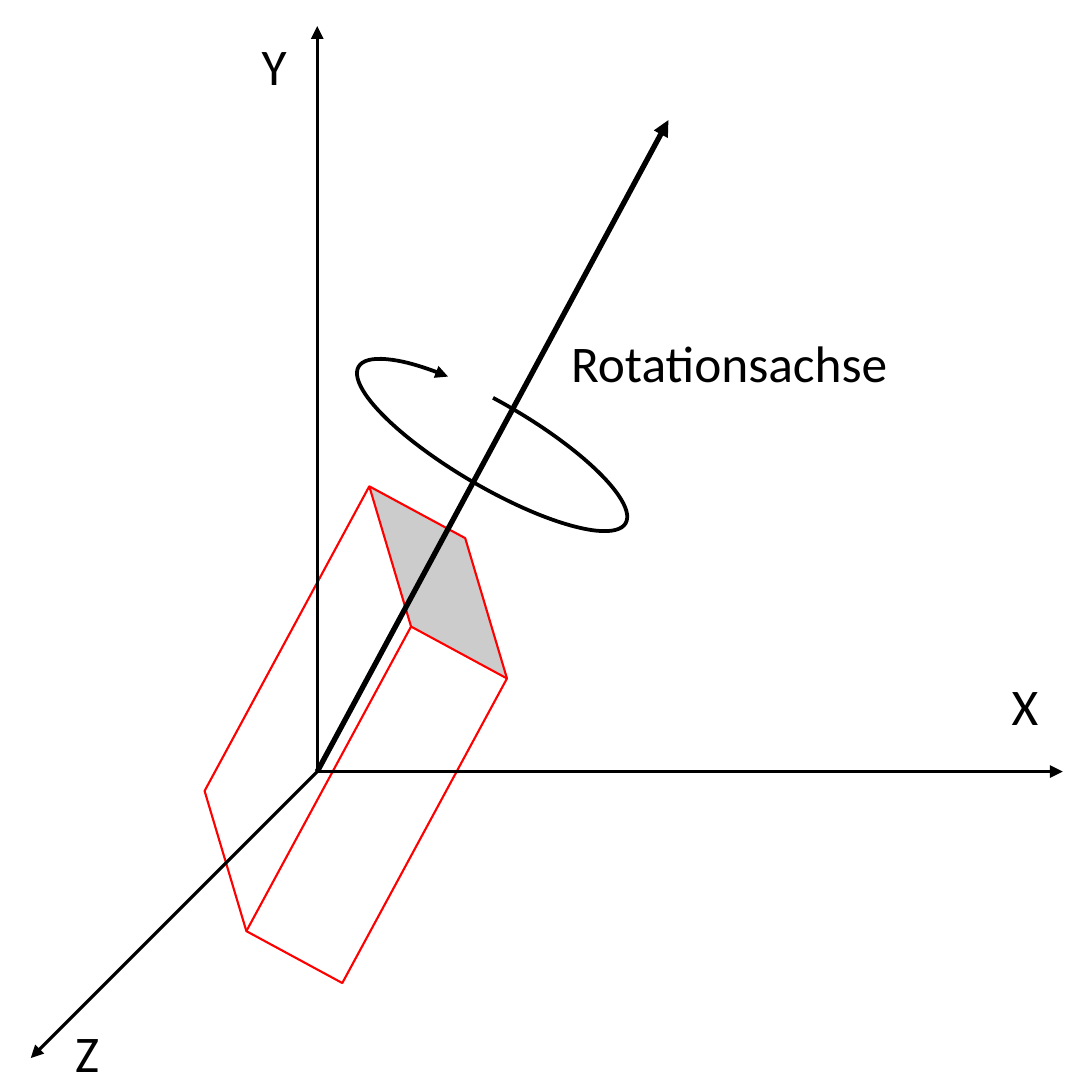
"""Draws a box turning around a rotation axis in a three-axis coordinate system."""
from lxml import etree
from pptx import Presentation
from pptx import util as u
from pptx.dml.color import RGBColor
from pptx.enum import shapes, text
from pptx.oxml import ns

BLACK, RED, WHITE = "000000", "FF0000", "FFFFFF"
SIDE = 7.09
ORIGIN = (2.06, 5.01)
AXIS_LENGTH = 4.84
Z_REACH = 1.86


def color(value):
    return RGBColor.from_string(value)


class Diagram:
    font, size, label_height = "Calibri", 24, 0.5

    def __init__(self, slide):
        self.slide = slide

    def outline(self, line, value, width, arrow=False):
        line.color.rgb = color(value)
        line.width = u.Pt(width)
        if arrow:
            element = line.color._xFill.getparent()
            etree.SubElement(element, ns.qn("a:tailEnd"), type="triangle")

    def shape(self, kind, box, rotation, adjustments, line, fill=None):
        shape = self.slide.shapes.add_shape(kind, *map(u.Inches, box))
        shape.shadow.inherit = False
        shape.rotation = rotation
        for index, value in enumerate(adjustments):
            shape.adjustments[index] = value
        if fill:
            shape.fill.solid()
            shape.fill.fore_color.rgb = color(fill)
        else:
            shape.fill.background()
        self.outline(shape.line, *line)

    def arrow(self, end, width=1.5):
        connector = self.slide.shapes.add_connector(
            shapes.MSO_CONNECTOR.STRAIGHT, *map(u.Inches, (*ORIGIN, *end)))
        self.outline(connector.line, BLACK, width, True)
        etree.SubElement(connector._element.spPr, ns.qn("a:effectLst"))

    def label(self, wording, left, top, width):
        box = self.slide.shapes.add_textbox(
            *map(u.Inches, (left, top, width, self.label_height)))
        frame = box.text_frame
        frame.word_wrap = True
        frame.auto_size = text.MSO_AUTO_SIZE.SHAPE_TO_FIT_TEXT
        frame.text = wording
        font = frame.paragraphs[0].runs[0].font
        font.name, font.size = self.font, u.Pt(self.size)
        font.color.rgb = color(BLACK)


presentation = Presentation()
presentation.slide_width = presentation.slide_height = u.Inches(SIDE)
diagram = Diagram(presentation.slides.add_slide(presentation.slide_layouts[6]))

x, y = ORIGIN
diagram.shape(shapes.MSO_SHAPE.CUBE, (0.85, 4.08, 2.92, 1.38), 298.4,
              [0.487], (RED, 1), WHITE)
for axis_end in [(x, y - AXIS_LENGTH), (x + AXIS_LENGTH, y),
                 (x - Z_REACH, y + Z_REACH)]:
    diagram.arrow(axis_end)
diagram.shape(shapes.MSO_SHAPE.ARC, (2.19, 2.62, 2.01, 0.54), 30.4,
              [144.45, 124.09], (BLACK, 1.75, True))
for label in [("X", 6.47, 4.33, 0.54), ("Y", 1.6, 0.17, 0.46),
              ("Z", 0.39, 6.58, 0.65), ("Rotationsachse", 3.61, 2.1, 2.77)]:
    diagram.label(*label)
diagram.arrow((4.34, 0.78), 2.5)

presentation.save("out.pptx")
